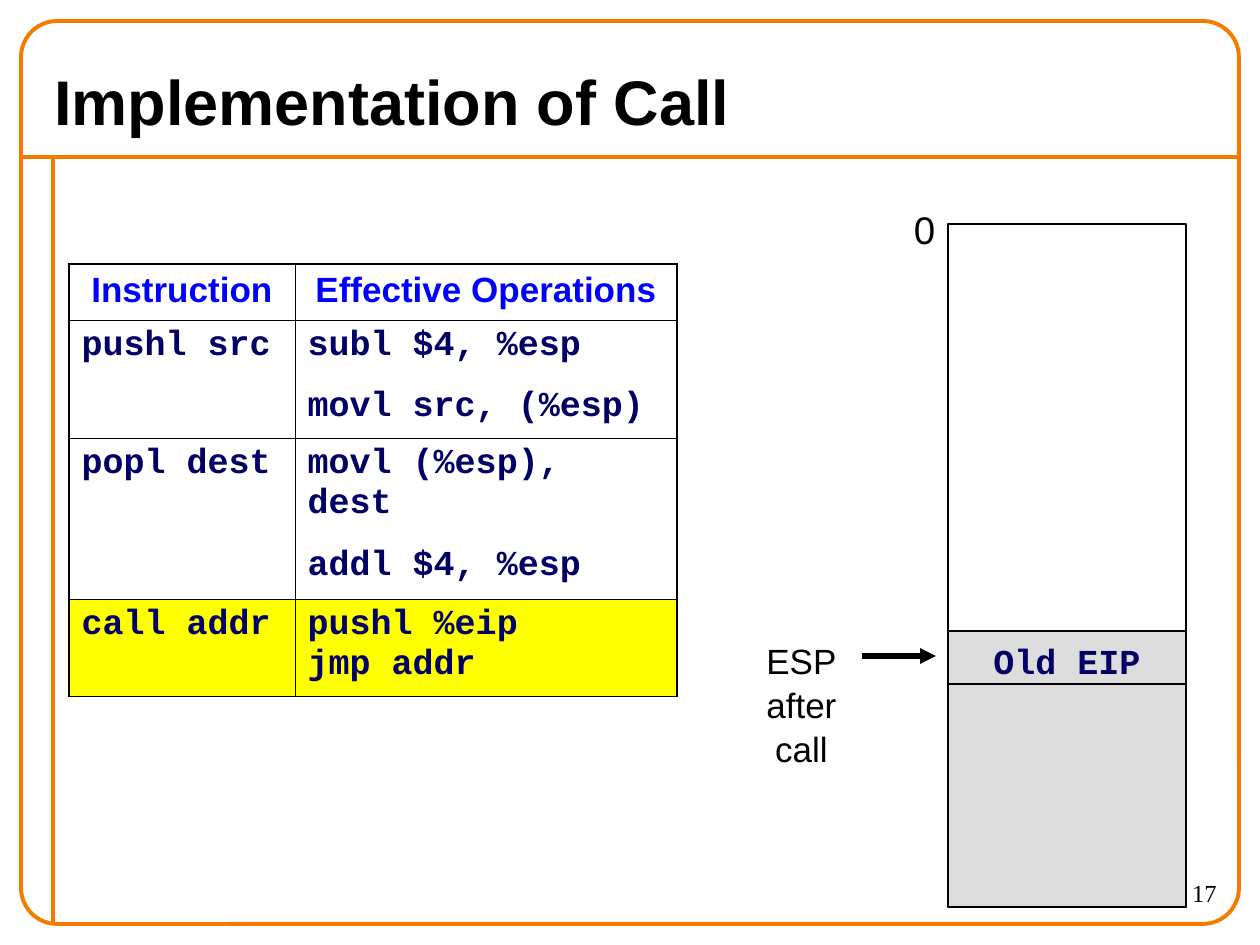
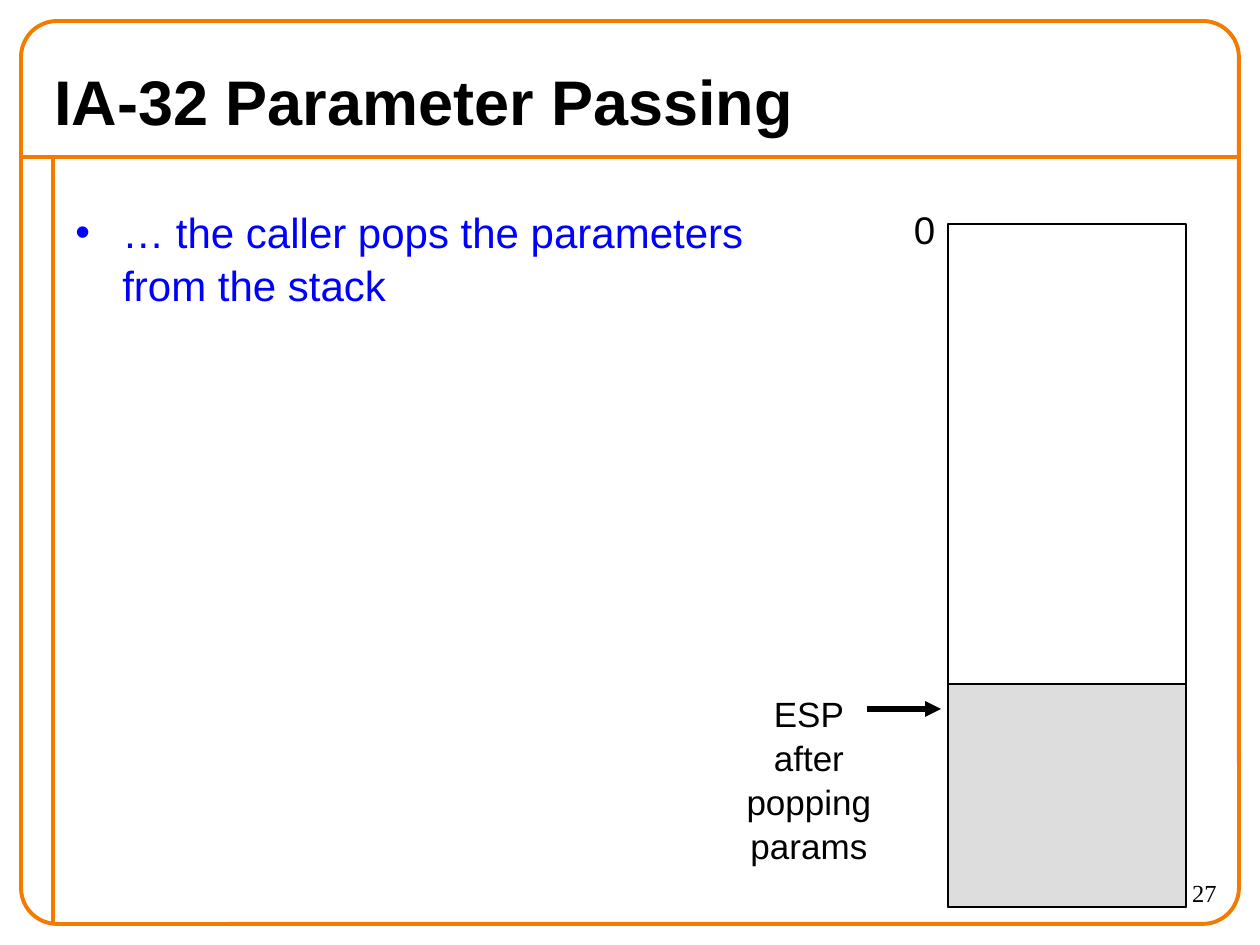
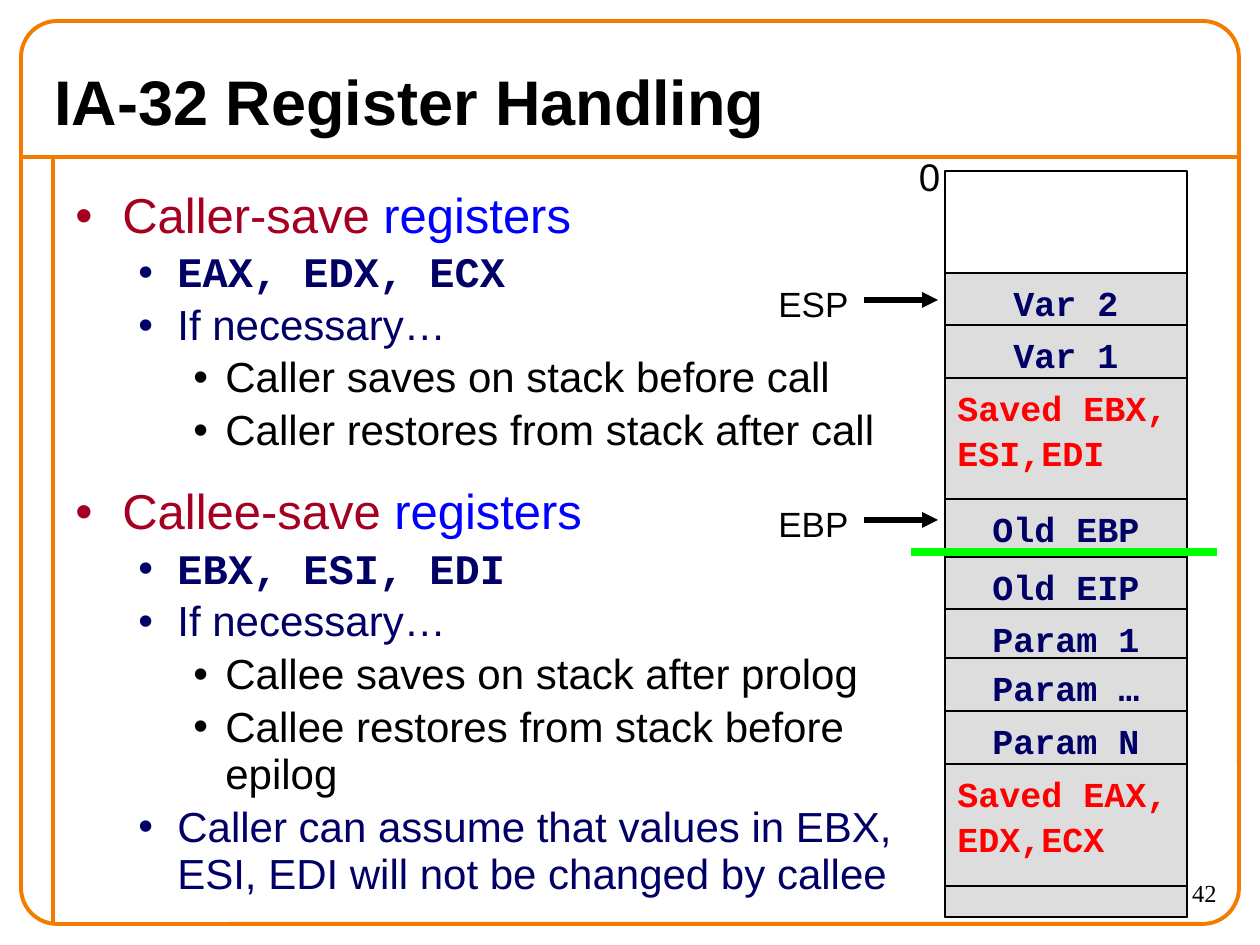
from dataclasses import dataclass

from lxml.etree import SubElement
from pptx import Presentation
from pptx.dml.color import RGBColor
from pptx.enum.shapes import MSO_CONNECTOR, MSO_SHAPE
from pptx.enum.text import MSO_ANCHOR, PP_ALIGN
from pptx.oxml import parse_xml
from pptx.oxml.ns import nsdecls, qn
from pptx.util import Emu, Pt

PX = 914400 / 126


@dataclass(frozen=True)
class Theme:
    orange: str = "F47A00"
    black: str = "000000"
    blue: str = "0000FF"
    navy: str = "000066"
    wine: str = "A50021"
    red: str = "FF0000"
    green: str = "00FF00"
    gray: str = "DDDDDD"
    yellow: str = "FFFF00"
    sans: str = "Arial"
    mono: str = "Courier New"
    serif: str = "Times New Roman"
    title: int = 36
    large: int = 28
    body: int = 24
    zero: int = 22
    small: int = 20
    page: int = 14
    sans_gap: float = 1.05
    mono_gap: float = 1.06
    tight: float = 0.94


T = Theme()
CODE = dict(font=T.mono, size=T.small, color=T.navy, bold=True)

# Bullet levels: left margin and hanging indent in px, space before in points
LEVELS = [(47, 47, 17.5), (102, 39, 3), (150, 32, 3)]
TOPIC = dict(size=T.large, color=T.wine)
REST = dict(size=T.large, color=T.blue)
NAVY = dict(color=T.navy)
REGS = dict(font=T.mono, color=T.navy, bold=True)
PLAIN = dict(color=T.black)

OPS = [
    ("Instruction", ["Effective Operations"]),
    ("pushl src", ["subl $4, %esp", "movl src, (%esp)"]),
    ("popl dest", ["movl (%esp), dest", "addl $4, %esp"]),
    ("call addr", ["pushl %eip\njmp addr"]),
]
OPS_COLS = [226, 382]
OPS_ROWS = [56, 118, 161, 97]

POPS = [(0, [("… the caller pops the parameters from the stack", {})])]
SAVES = [
    (0, [("Caller-save", TOPIC), (" registers", REST)]),
    (1, [("EAX, EDX, ECX", REGS)]),
    (1, [("If necessary…", NAVY)]),
    (2, [("Caller saves on stack before call", PLAIN)]),
    (2, [("Caller restores from stack after call", PLAIN)]),
    (0, [("Callee-save", TOPIC), (" registers", REST)]),
    (1, [("EBX, ESI, EDI", REGS)]),
    (1, [("If necessary…", NAVY)]),
    (2, [("Callee saves on stack after prolog", PLAIN)]),
    (2, [("Callee restores from stack before epilog", PLAIN)]),
    (1, [("Caller can assume that values in EBX, ESI, EDI will not be "
          "changed by callee", NAVY)]),
]

# Stack frames: outer box, top of the gray rest, position of the zero, cells
SHORT = dict(box=(948, 224, 238, 683), rest=684, zero=(885, 198))
FULL = dict(box=(945, 171, 242, 746), rest=716, zero=(890, 145))
CALL = [(631, "Old EIP")]
FRAME = [
    (273, "Var 2"), (325, "Var 1"), (378, "Saved EBX, ESI,EDI"),
    (499, "Old EBP"), (557, "Old EIP"), (609, "Param 1"),
    (658, "Param …"), (711, "Param N"), (764, "Saved EAX, EDX,ECX"),
]
CELL, SAVED = 53, 122
ARROW = 74


def emu(*px):
    return [Emu(round(n * PX)) for n in px]


def rgb(code):
    return RGBColor.from_string(code)


def put(frame, paras, font=T.sans, size=T.small, color=T.black, bold=False,
        align=PP_ALIGN.LEFT, gap=None, before=0, anchor=MSO_ANCHOR.TOP):
    """Fill a text frame; a paragraph is a string or a (level, runs) pair."""
    frame.word_wrap = True
    frame.vertical_anchor = anchor
    for i, item in enumerate(paras):
        para = frame.paragraphs[0] if i == 0 else frame.add_paragraph()
        level, runs = (None, [(item, {})]) if isinstance(item, str) else item
        space = before
        if level is not None:
            space = LEVELS[level][2]
            bullet(para, level, runs[0][1].get("color", color))
        para.alignment = align
        if gap:
            para.line_spacing = gap
        if i:
            para.space_before = Pt(space)
        for words, own in runs:
            look = dict(font=font, size=size, color=color, bold=bold) | own
            for n, line in enumerate(words.split("\n")):
                if n:
                    para.add_line_break()
                run = para.add_run()
                run.text = line
                run.font.name = look["font"]
                run.font.size = Pt(look["size"])
                run.font.bold = look["bold"]
                run.font.color.rgb = rgb(look["color"])


def bullet(para, level, color):
    left, hang, _ = LEVELS[level]
    props = para._p.get_or_add_pPr()
    props.set("marL", str(emu(left)[0]))
    props.set("indent", str(-emu(hang)[0]))
    if level:
        props.set("lvl", str(level))
    tint = SubElement(props, qn("a:buClr"))
    SubElement(tint, qn("a:srgbClr")).set("val", color)
    SubElement(props, qn("a:buFont")).set("typeface", T.sans)
    SubElement(props, qn("a:buChar")).set("char", "•")


def text(slide, box, *paras, **look):
    put(slide.shapes.add_textbox(*emu(*box)).text_frame, paras, **look)


def rect(slide, box, kind=MSO_SHAPE.RECTANGLE, fill=None, line=T.black,
         width=0.75):
    shape = slide.shapes.add_shape(kind, *emu(*box))
    shape.shadow.inherit = False
    if fill:
        shape.fill.solid()
        shape.fill.fore_color.rgb = rgb(fill)
    else:
        shape.fill.background()
    shape.line.color.rgb = rgb(line)
    shape.line.width = Pt(width)
    return shape


def rule(slide, ends, color, width, head=False):
    line = slide.shapes.add_connector(MSO_CONNECTOR.STRAIGHT, *emu(*ends))
    line.line.color.rgb = rgb(color)
    line.line.width = Pt(width)
    if head:
        tip = SubElement(line.line._get_or_add_ln(), qn("a:tailEnd"))
        tip.set("type", "triangle")
    SubElement(line._element.spPr, qn("a:effectLst"))


def page(deck, title, number):
    """Add a slide with the shared frame, title and page number."""
    slide = deck.slides.add_slide(deck.slide_layouts[6])
    rule(slide, (21, 157, 1239, 157), T.orange, 2.25)
    rule(slide, (53, 157, 53, 924), T.orange, 2.25)
    frame = rect(slide, (21, 21, 1218, 903), MSO_SHAPE.ROUNDED_RECTANGLE,
                 line=T.orange, width=2.25)
    frame.adjustments[0] = 0.04
    text(slide, (1103, 872, 126, 53), str(number), font=T.serif, size=T.page,
         align=PP_ALIGN.RIGHT)
    text(slide, (42, 53, 1176, 94), title, size=T.title, bold=True,
         anchor=MSO_ANCHOR.MIDDLE)
    return slide


def stack(slide, box, rest, zero, cells=()):
    left, top, width, height = box
    rect(slide, box, width=1.5)
    rect(slide, (left, rest, width, top + height - rest), fill=T.gray)
    text(slide, (*zero, 79, 59), "0", size=T.zero, align=PP_ALIGN.CENTER,
         gap=T.sans_gap)
    for y, name in cells:
        saved = name.startswith("Saved")
        cell = rect(slide, (left, y, width, SAVED if saved else CELL),
                    fill=T.gray)
        look = CODE | dict(color=T.red if saved else T.navy)
        put(cell.text_frame, [name], gap=T.mono_gap, **look,
            align=PP_ALIGN.LEFT if saved else PP_ALIGN.CENTER)


def pointer(slide, name, box, x, y, align=PP_ALIGN.CENTER):
    """Add a register label with its arrow to the stack."""
    text(slide, box, name, align=align, gap=T.sans_gap)
    rule(slide, (x, y, x + ARROW, y), T.black, 3, head=True)


def border(cell, outer):
    props = cell._tc.get_or_add_tcPr()
    for i, side in enumerate("LRTB"):
        width = Pt(1.08 if side in outer else 0.45)
        props.insert(i, parse_xml(
            f'<a:ln{side} {nsdecls("a")} w="{width}"><a:solidFill>'
            f'<a:srgbClr val="{T.black}"/></a:solidFill></a:ln{side}>'))


def table(slide, left, top):
    size = sum(OPS_COLS), sum(OPS_ROWS)
    grid = slide.shapes.add_table(len(OPS_ROWS), len(OPS_COLS),
                                  *emu(left, top, *size)).table
    grid.first_row = grid.horz_banding = False
    for col, width in zip(grid.columns, emu(*OPS_COLS)):
        col.width = width
    last = len(OPS) - 1
    for r, (name, steps) in enumerate(OPS):
        grid.rows[r].height = emu(OPS_ROWS[r])[0]
        for c, paras in enumerate([[name], steps]):
            cell = grid.cell(r, c)
            if r == last:
                cell.fill.solid()
                cell.fill.fore_color.rgb = rgb(T.yellow)
            else:
                cell.fill.background()
            edge = "T" if r == 0 else "B" if r == last else ""
            border(cell, edge + "LR"[c])
            look = CODE if r else dict(color=T.blue, bold=True,
                                       align=PP_ALIGN.CENTER)
            put(cell.text_frame, paras, before=12.5, **look)


def main():
    deck = Presentation()
    deck.slide_width, deck.slide_height = emu(1260, 945)

    slide = page(deck, "Implementation of Call", 17)
    table(slide, 69, 264)
    stack(slide, **SHORT, cells=CALL)
    pointer(slide, "ESP\nafter\ncall", (693, 631, 217, 139), 862, 656)

    slide = page(deck, "IA-32 Parameter Passing", 27)
    stack(slide, **SHORT)
    pointer(slide, "ESP\nafter popping params", (714, 684, 190, 181), 867, 709)
    text(slide, (63, 198, 746, 687), *POPS, size=T.body, color=T.blue,
         gap=T.sans_gap)

    slide = page(deck, "IA-32 Register Handling", 42)
    stack(slide, **FULL, cells=FRAME)
    for name, y in [("ESP", 300), ("EBP", 520)]:
        pointer(slide, name, (766, y - 26, 190, 55), 864, y, PP_ALIGN.LEFT)
    rule(slide, (911, 552, 1217, 552), T.green, 4.5)
    text(slide, (63, 183, 851, 762), *SAVES, size=T.body, gap=T.tight)

    deck.save("out.pptx")


if __name__ == "__main__":
    main()
